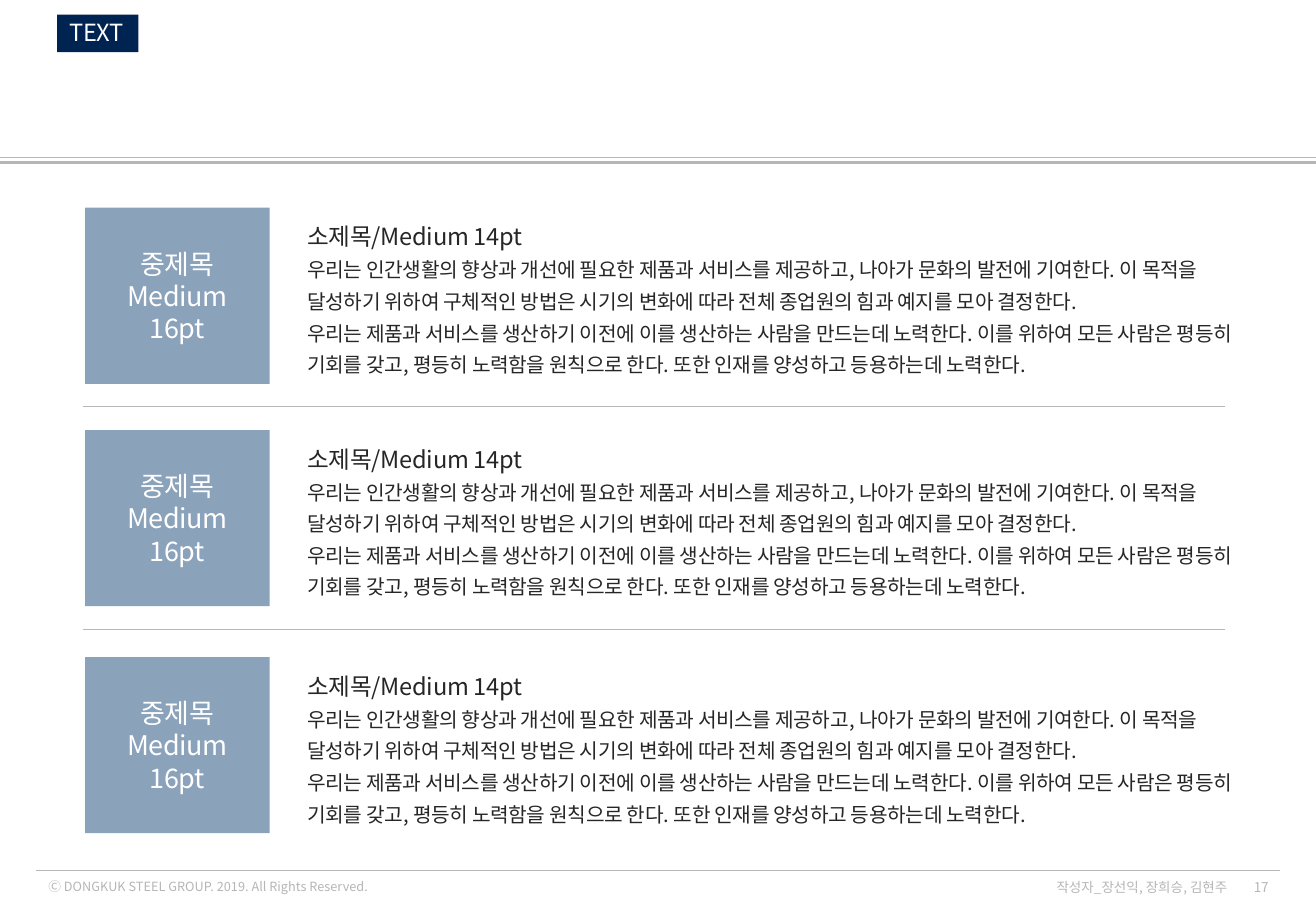
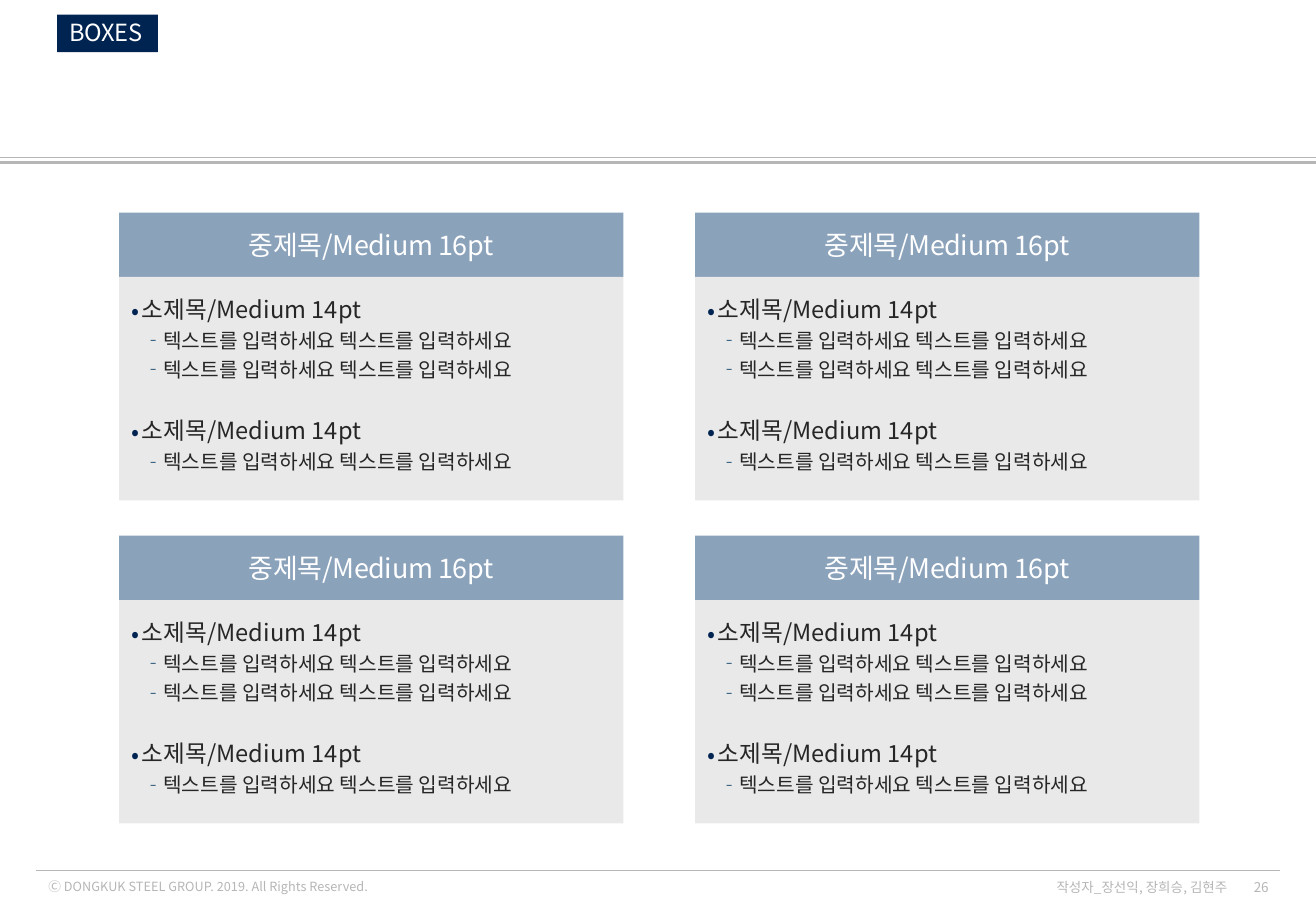
from itertools import product

from lxml.etree import SubElement as Sub
from pptx import Presentation
from pptx.dml.color import RGBColor as Rgb
from pptx.enum.shapes import MSO_CONNECTOR as Conn, MSO_SHAPE as Kind
from pptx.enum.text import MSO_ANCHOR as Anchor, PP_ALIGN as Align
from pptx.oxml.ns import qn
from pptx.util import Emu, Inches, Pt

WIDE, HIGH = 10.83, 7.5
FACE = "Noto Sans CJK KR"
HUES = {"navy": "002452", "dash": "003760", "steel": "8BA2BB", "pale": "E9E9E9",
        "rule": "B6B6B6", "ink": "262626", "white": "FFFFFF"}

# size, hue and tracking go to the run; "para" holds paragraph attributes
STYLES = {
    "tag": {"size": 14, "hue": "white", "spc": -20,
            "para": {"alignment": Align.LEFT, "line_spacing": 0.9}},
    "mid": {"size": 16, "hue": "white", "spc": -20, "para": {"alignment": Align.CENTER}},
    "sub": {"size": 14, "hue": "ink", "spc": -20,
            "para": {"alignment": Align.LEFT, "line_spacing": 1.3}},
    "body": {"size": 12, "hue": "ink", "spc": -20,
             "para": {"alignment": Align.LEFT, "line_spacing": 1.3}},
    "dot": {"size": 14, "hue": "ink", "bullet": ("•", "navy", 0.09, -0.09),
            "para": {"alignment": Align.LEFT, "line_spacing": 1.2}},
    "item": {"size": 12, "hue": "ink", "bullet": ("‐", "dash", 0.2, -0.1),
             "para": {"alignment": Align.LEFT, "line_spacing": 1.2}},
    "legal": {"size": 7.5, "hue": "rule", "para": {"alignment": Align.LEFT}},
    "foot": {"size": 8, "hue": "rule", "para": {"alignment": Align.RIGHT}},
}
STYLES["next"] = STYLES["dot"] | {
    "para": STYLES["dot"]["para"] | {"space_before": Pt(17.3)}}

SUB = "소제목/Medium 14pt"
ITEM = "텍스트를 입력하세요 텍스트를 입력하세요"
STORY = [
    ("sub", SUB),
    ("body", "우리는 인간생활의 향상과 개선에 필요한 제품과 서비스를 제공하고, 나아가 문화의 발전에 "
             "기여한다. 이 목적을 달성하기 위하여 구체적인 방법은 시기의 변화에 따라 전체 종업원의 "
             "힘과 예지를 모아 결정한다."),
    ("body", "우리는 제품과 서비스를 생산하기 이전에 이를 생산하는 사람을 만드는데 노력한다. 이를 "
             "위하여 모든 사람은 평등히 기회를 갖고, 평등히 노력함을 원칙으로 한다. 또한 인재를 "
             "양성하고 등용하는데 노력한다."),
]
LIST = [("dot", SUB), ("item", ITEM), ("item", ITEM), ("next", SUB), ("item", ITEM)]


def color(hue):
    return Rgb.from_string(HUES[hue])


def mark(para, sign, hue, left, hang):
    """Give a paragraph a coloured bullet with a hanging indent."""
    props = para._p.get_or_add_pPr()
    props.set("marL", str(Inches(left)))
    props.set("indent", str(Inches(hang)))
    Sub(Sub(props, qn("a:buClr")), qn("a:srgbClr"), val=HUES[hue])
    Sub(props, qn("a:buFont"), typeface=FACE)
    Sub(props, qn("a:buChar"), char=sign)


def write(shape, lines, anchor=Anchor.MIDDLE, pad=0.05, wrap=True):
    """Fill a shape with (style, text) paragraphs."""
    frame = shape.text_frame
    looks = {"word_wrap": wrap, "vertical_anchor": anchor,
             "margin_left": Inches(0.1), "margin_right": Inches(0.1),
             "margin_top": Inches(pad), "margin_bottom": Inches(pad)}
    for name, value in looks.items():
        setattr(frame, name, value)
    for i, (key, text) in enumerate(lines):
        style = STYLES[key]
        para = frame.add_paragraph() if i else frame.paragraphs[0]
        if "bullet" in style:
            mark(para, *style["bullet"])
        for name, value in style["para"].items():
            setattr(para, name, value)
        run = para.add_run()
        run.text = text
        font = run.font
        font.name, font.size = FACE, Pt(style["size"])
        font.color.rgb = color(style["hue"])
        props = run._r.get_or_add_rPr()
        props.set("spc", str(style.get("spc", 0)))
        Sub(props, qn("a:ea"), typeface=FACE)


def paint(shape, hue):
    shape.fill.solid()
    shape.fill.fore_color.rgb = color(hue)
    shape.line.fill.background()


def box(slide, area, hue, lines, **looks):
    shape = slide.shapes.add_shape(Kind.RECTANGLE, *map(Inches, area))
    shape.shadow.inherit = False
    paint(shape, hue)
    write(shape, lines, **looks)


def label(slide, area, lines, **looks):
    write(slide.shapes.add_textbox(*map(Inches, area)), lines, **looks)


def rule(slide, left, right, y, weight=0.5):
    line = slide.shapes.add_connector(Conn.STRAIGHT, *map(Inches, (left, y, right, y)))
    line.line.color.rgb = color("rule")
    line.line.width = Pt(weight)
    Sub(line._element.spPr, qn("a:effectLst"))


def start(deck, tag, width, page):
    """Add a slide with its title tag, header rules and footer."""
    slide = deck.slides.add_slide(deck.slide_layouts[5])
    rule(slide, 0, WIDE, 1.34, 1.5)
    rule(slide, 0, WIDE, 1.3)
    rule(slide, 0.3, WIDE - 0.3, 7.17)
    label(slide, (0.3, 7.18, 3.47, 0.23),
          [("legal", "Ⓒ DONGKUK STEEL GROUP. 2019. All Rights Reserved.")])
    title = slide.shapes.title
    spot = map(Inches, (0.47, 0.12, width, 0.31))
    title.left, title.top, title.width, title.height = spot
    paint(title, "navy")
    write(title, [("tag", tag)], wrap=False)
    label(slide, (10.13, 7.22, 0.41, 0.16), [("foot", page)])
    label(slide, (8.52, 7.22, 1.68, 0.16), [("foot", "작성자_장선익, 장희승, 김현주")])
    return slide


def rows(deck):
    slide = start(deck, "TEXT", 0.67, "17")
    tops = (1.71, 3.54, 5.41)
    for top in tops:
        box(slide, (0.7, top, 1.52, 1.45), "steel",
            [("mid", "중제목"), ("mid", "Medium 16pt")])
        label(slide, (2.43, top, 7.95, 0.95), STORY, anchor=Anchor.TOP)
    for top in tops[:-1]:
        rule(slide, 0.68, 10.08, top + 1.64)


def cards(deck):
    slide = start(deck, "BOXES", 0.83, "26")
    wide, head, tall = 4.15, 0.53, 1.84
    for row, col in product(range(2), repeat=2):
        left, top = 0.98 + col * (wide + 0.59), 1.75 + row * (head + tall + 0.29)
        box(slide, (left, top, wide, head), "steel",
            [("mid", "중제목/Medium 16pt")], pad=0.1)
        box(slide, (left, top + head, wide, tall), "pale", LIST,
            anchor=Anchor.TOP, pad=0.1)


def main():
    deck = Presentation()
    deck.slide_width, deck.slide_height = Inches(WIDE), Inches(HIGH)
    rows(deck)
    cards(deck)
    deck.save("out.pptx")


if __name__ == "__main__":
    main()
